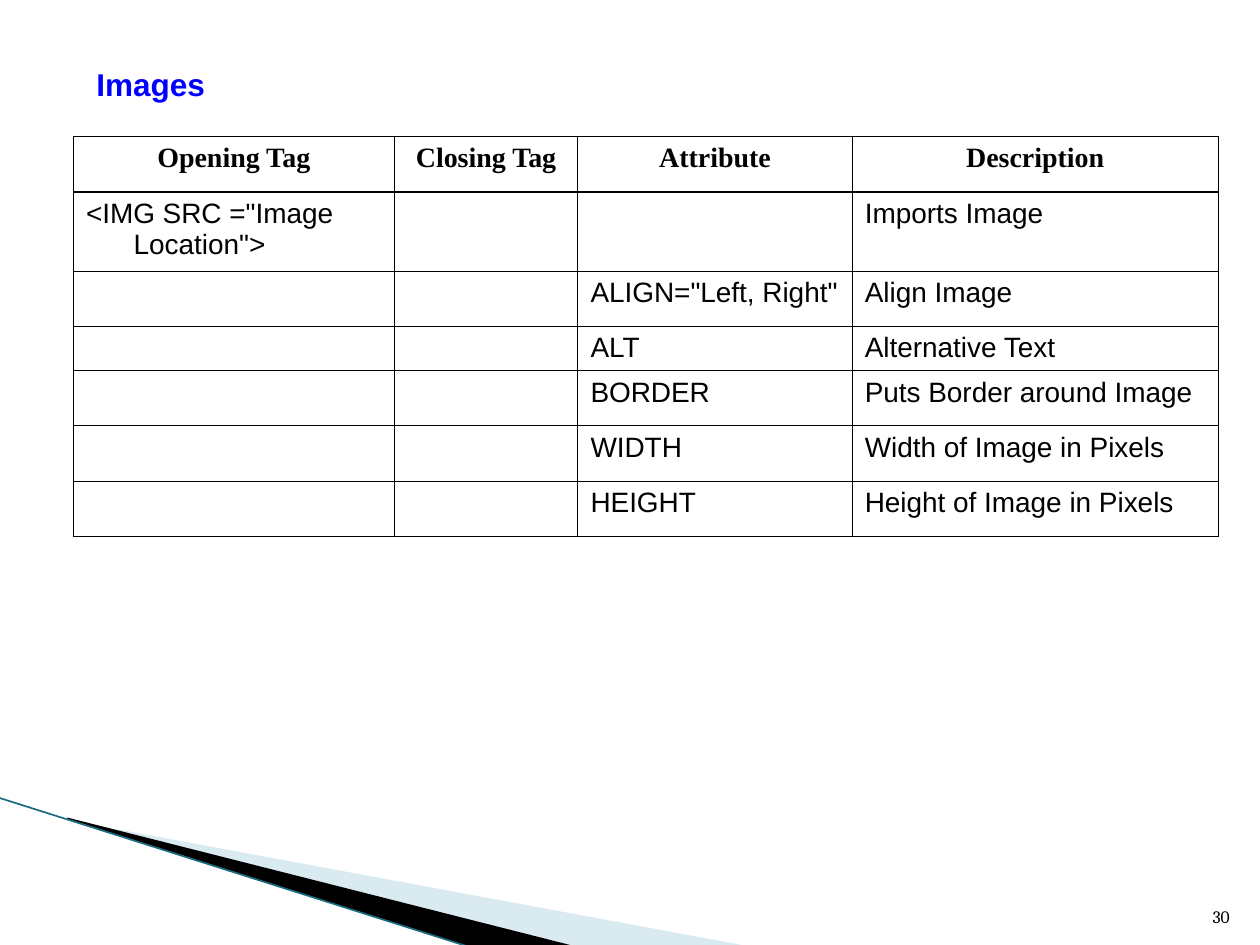
from dataclasses import dataclass

import lxml.etree
import pptx
import pptx.dml.color
import pptx.enum.shapes
import pptx.enum.text
import pptx.oxml
import pptx.oxml.ns
import pptx.util

Cm = pptx.util.Cm
Pt = pptx.util.Pt
ALIGN = pptx.enum.text.PP_ALIGN
ANCHOR = pptx.enum.text.MSO_ANCHOR
qn = pptx.oxml.ns.qn

COLORS = {
    "text": "000000",
    "title": "0000FF",
    "paper": "FFFFFF",
    "pale": "A0CBDC",
    "teal": "1A6B80",
}
HANGING = Cm(0.96)


@dataclass
class Wedge:
    points: list[tuple[float, float]]
    frame: tuple[float, float, float, float]
    color: str
    alpha: int = 100


@dataclass
class TextStyle:
    font: str
    size: int
    color: str = "text"
    bold: bool = False
    align: ALIGN = ALIGN.LEFT


HEADER = TextStyle("Times New Roman", 16, bold=True, align=ALIGN.CENTER)
BODY = TextStyle("Arial", 16)
TITLE = TextStyle("Arial", 18, "title", bold=True)
NUMBER = TextStyle("Cambria", 10, align=ALIGN.RIGHT)

WEDGES = [
    Wedge([(1.4, 16.54), (15.11, 19.08), (11.58, 19.08), (1.4, 16.51)],
          (1.98, 13.89, 10.57, 4.01), "pale", 40),
    Wedge([(1.35, 16.48), (11.61, 19.08), (9.45, 19.08), (1.37, 16.51)],
          (-0.15, 16.08, 10.57, 2.34), "text"),
]
COLUMN_WIDTHS = [6.47, 3.7, 5.53, 7.38]
ROW_HEIGHTS = [1.12, 1.6, 1.11, 0.89, 1.11, 1.12, 1.12]
ROWS = [
    ("Opening Tag", "Closing Tag", "Attribute", "Description"),
    ('<IMG SRC ="Image Location">', "", "", "Imports Image"),
    ("", "", 'ALIGN="Left, Right"', "Align Image"),
    ("", "", "ALT", "Alternative Text"),
    ("", "", "BORDER", "Puts Border around Image"),
    ("", "", "WIDTH", "Width of Image in Pixels"),
    ("", "", "HEIGHT", "Height of Image in Pixels"),
]


def rgb(name: str) -> pptx.dml.color.RGBColor:
    return pptx.dml.color.RGBColor.from_string(COLORS[name])


def write(frame, text: str, style: TextStyle) -> None:
    frame.text = text
    paragraph = frame.paragraphs[0]
    paragraph.alignment = style.align
    paragraph.font.name = style.font
    paragraph.font.size = Pt(style.size)
    paragraph.font.bold = style.bold
    paragraph.font.color.rgb = rgb(style.color)


def set_frame(shape, frame: tuple[float, float, float, float]) -> None:
    """Give the outline its own frame while its points stay in place."""
    left, top, width, height = (Cm(length) for length in frame)
    outline = shape._element.spPr.find(".//" + qn("a:path"))
    for point in outline.iter(qn("a:pt")):
        point.set("x", str(int(point.get("x")) + shape.left - left))
        point.set("y", str(int(point.get("y")) + shape.top - top))
    outline.set("w", str(width))
    outline.set("h", str(height))
    shape.left, shape.top, shape.width, shape.height = left, top, width, height


def draw_wedge(page, wedge: Wedge) -> None:
    points = [(Cm(x), Cm(y)) for x, y in wedge.points]
    builder = page.shapes.build_freeform(*points[0])
    builder.add_line_segments(points[1:], close=True)
    shape = builder.convert_to_shape()
    set_frame(shape, wedge.frame)
    shape.shadow.inherit = False
    shape.line.fill.background()
    shape.fill.solid()
    shape.fill.fore_color.rgb = rgb(wedge.color)
    if wedge.alpha < 100:
        color = shape.fill._xPr.find(".//" + qn("a:srgbClr"))
        lxml.etree.SubElement(color, qn("a:alpha"), val=str(wedge.alpha * 1000))


def draw_edge(page) -> None:
    edge = page.shapes.add_connector(
        pptx.enum.shapes.MSO_CONNECTOR.STRAIGHT,
        Cm(-0.03), Cm(16.08), Cm(9.43), Cm(19.08))
    edge.line.color.rgb = rgb("teal")
    edge.line.width = Pt(0.95)
    lxml.etree.SubElement(edge._element.spPr, qn("a:effectLst"))


def format_cell(cell, text: str, style: TextStyle) -> None:
    write(cell.text_frame, text, style)
    paragraph = cell.text_frame.paragraphs[0]._p
    properties = paragraph.get_or_add_pPr()
    properties.set("marL", str(HANGING))
    properties.set("indent", str(-HANGING))
    if not text:
        lxml.etree.SubElement(paragraph, qn("a:endParaRPr"), sz=str(style.size * 100))
    cell.fill.background()
    # Borders stand before the fill in the cell properties
    for index, side in enumerate(("lnL", "lnR", "lnT", "lnB")):
        border = pptx.oxml.parse_xml(
            f'<a:{side} {pptx.oxml.ns.nsdecls("a")} w="{Pt(0.75)}"><a:solidFill>'
            f'<a:srgbClr val="{COLORS["text"]}"/></a:solidFill></a:{side}>')
        cell._tc.get_or_add_tcPr().insert(index, border)


def draw_table(page) -> None:
    table = page.shapes.add_table(
        len(ROWS), len(COLUMN_WIDTHS), Cm(1.48), Cm(2.75),
        Cm(sum(COLUMN_WIDTHS)), Cm(sum(ROW_HEIGHTS))).table
    table.first_row = table.horz_banding = False
    for column, width in zip(table.columns, COLUMN_WIDTHS):
        column.width = Cm(width)
    for row, height, texts in zip(table.rows, ROW_HEIGHTS, ROWS):
        row.height = Cm(height)
        style = HEADER if texts is ROWS[0] else BODY
        for cell, text in zip(row.cells, texts):
            format_cell(cell, text, style)


deck = pptx.Presentation()
deck.slide_width, deck.slide_height = Cm(25.4), Cm(19.05)
page = deck.slides.add_slide(deck.slide_layouts[5])

# Corner decoration
for wedge in WEDGES:
    draw_wedge(page, wedge)
draw_edge(page)

# Title
title = page.shapes.title
title.left, title.top, title.width, title.height = Cm(1.69), Cm(0.85), Cm(5.93), Cm(1.69)
title.fill.solid()
title.fill.fore_color.rgb = rgb("paper")
title.line.color.rgb = rgb("paper")
title.line.width = Pt(0.75)
title.text_frame.vertical_anchor = ANCHOR.MIDDLE
write(title.text_frame, "Images", TITLE)

# Tag table
draw_table(page)

# Page number
number_box = page.shapes.add_textbox(Cm(24.02), Cm(17.8), Cm(1.02), Cm(1.02))
number_box.text_frame.word_wrap = True
number_box.text_frame.vertical_anchor = ANCHOR.BOTTOM
write(number_box.text_frame, "30", NUMBER)

deck.save("out.pptx")
